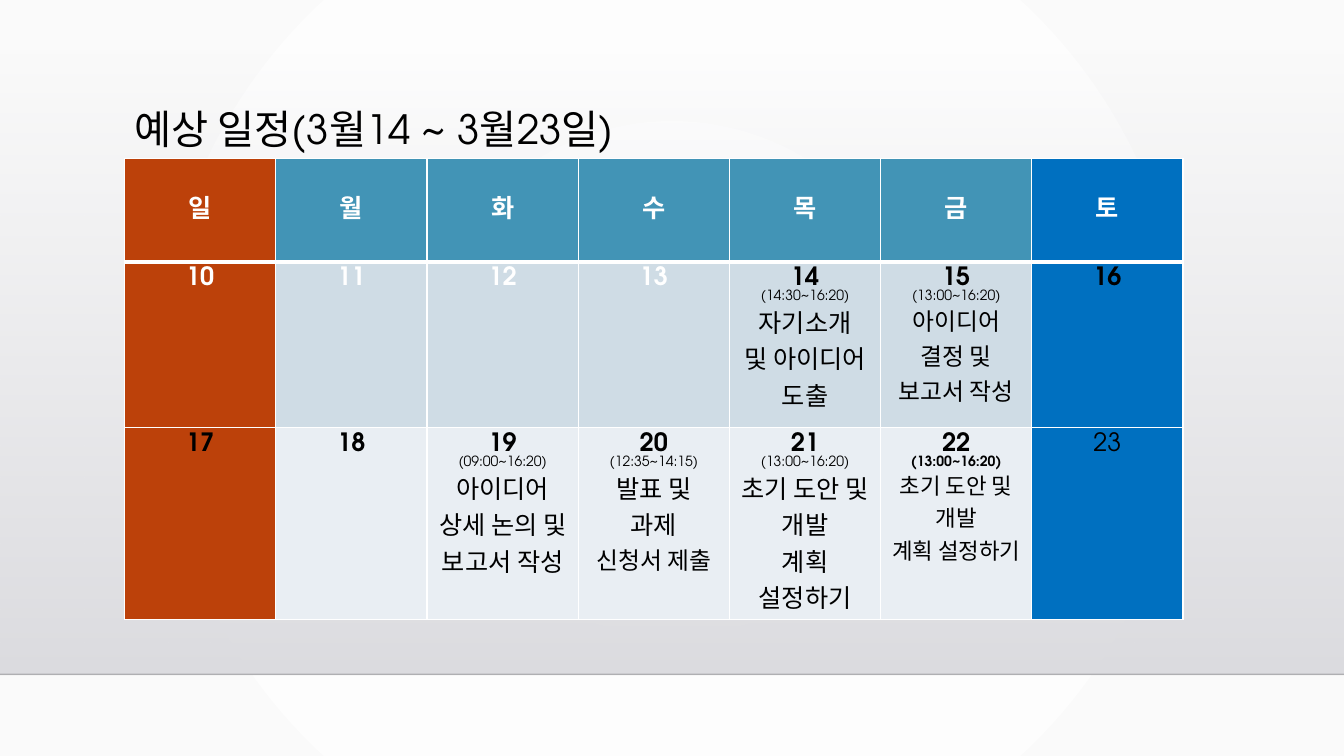
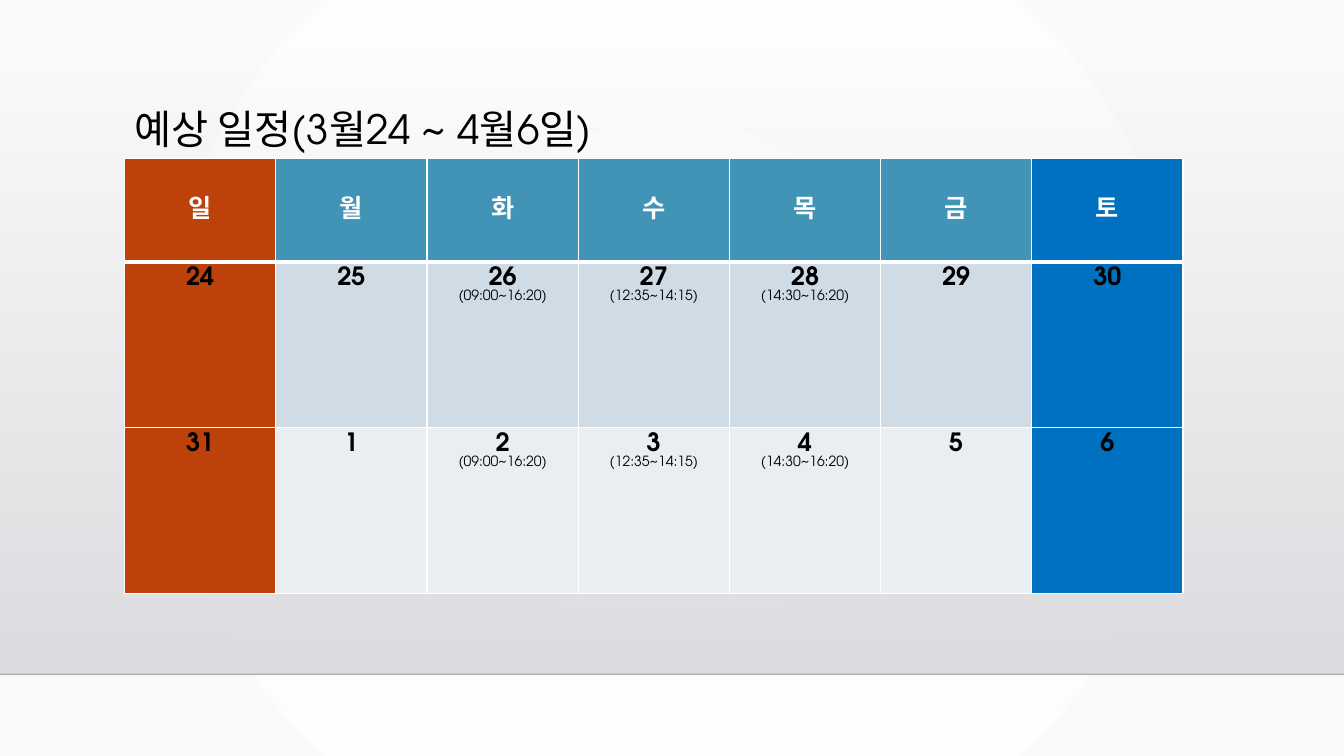
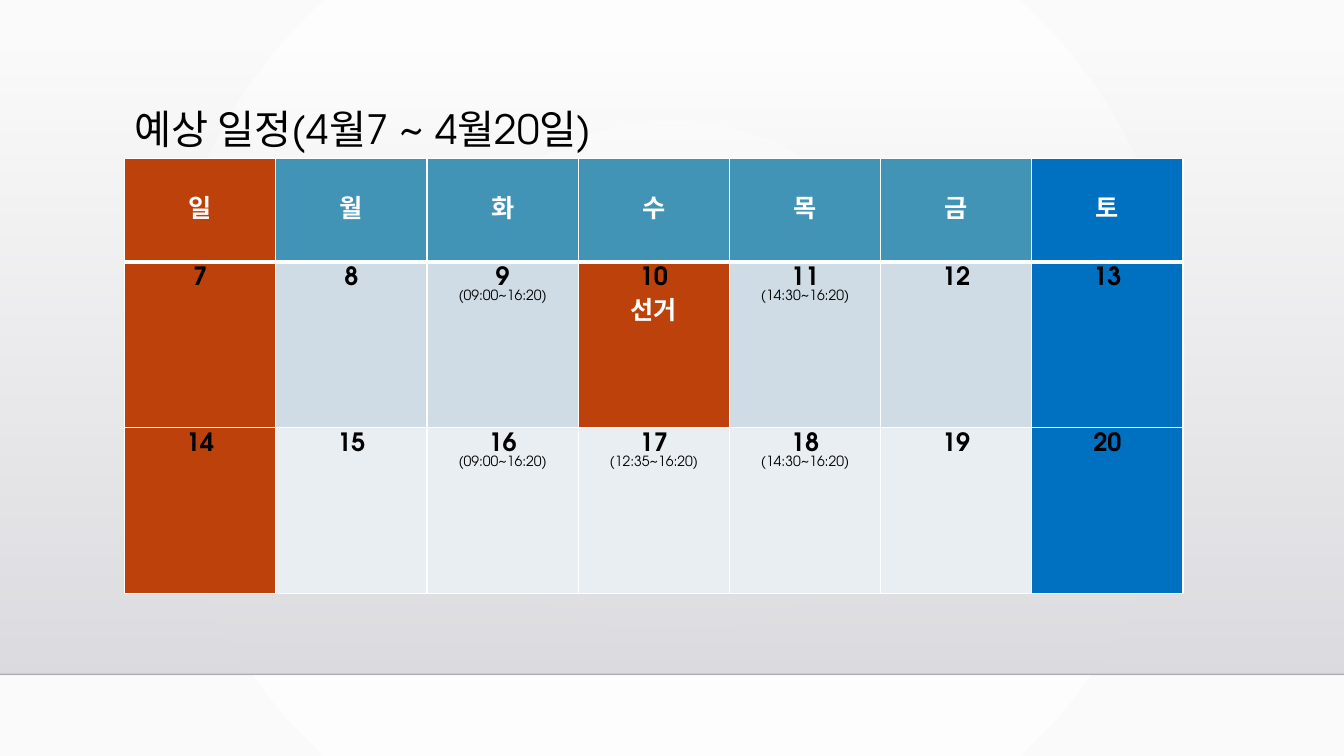
from lxml import etree
from pptx import Presentation
from pptx.dml.color import RGBColor
from pptx.enum import shapes, text
from pptx.oxml import ns
from pptx.util import Pt

FONT = "TeX Gyre Adventor"
BLACK, WHITE = "000000", "FFFFFF"
RED, BLUE, TEAL = "BC410A", "0070C0", "4294B6"
WEEK_FILLS = ["CFDCE5", "E9EEF3"]
WEEKDAYS = "일월화수목금토"
SLIDE_WIDTH, SLIDE_HEIGHT = 960, 540
BAND_TOP, BAND_BOTTOM = 36.7, 481.7
LEFT, TITLE_TOP, TABLE_TOP = 89, 74.9, 113
COLUMN_WIDTH, HEADER_HEIGHT, WEEK_HEIGHT, TALL_WEEK_HEIGHT = 108, 74, 118.5, 137

MORNING = ("(09:00~16:20)", 10, False)
NOON = ("(12:35~14:15)", 10, False)
LONG_NOON = ("(12:35~16:20)", 10, False)
ONE = ("(13:00~16:20)", 10, False)
HALF_PAST_TWO = ("(14:30~16:20)", 10, False)

# Each event line is (text, size, bold), listed under its date.
CALENDARS = [
    {
        "title": "예상 일정(3월14 ~ 3월23일)",
        "week_heights": [WEEK_HEIGHT, TALL_WEEK_HEIGHT],
        "first": 10, "past": range(10, 14), "plain": [23], "holidays": [],
        "events": {
            14: [HALF_PAST_TWO, ("자기소개", 18, False), ("및 아이디어 도출", 18, False)],
            15: [ONE, ("아이디어", 17, False), ("결정 및", 17, False),
                 ("보고서 작성", 17, False)],
            19: [MORNING, ("아이디어 상세 논의 및 보고서 작성", 18, False)],
            20: [NOON, ("발표 및", 18, False), ("과제", 18, False),
                 ("신청서 제출", 17, False)],
            21: [ONE, ("초기 도안 및 개발", 18, False), ("계획 설정하기", 18, False)],
            22: [("(13:00~16:20)", 10, True), ("초기 도안 및 개발", 16, False),
                 ("계획 설정하기", 16, False)],
        },
    },
    {
        "title": "예상 일정(3월24 ~ 4월6일)",
        "week_heights": [WEEK_HEIGHT, WEEK_HEIGHT],
        "first": 24, "past": [], "plain": [], "holidays": [],
        "events": {26: [MORNING], 27: [NOON], 28: [HALF_PAST_TWO],
                   2: [MORNING], 3: [NOON], 4: [HALF_PAST_TWO]},
    },
    {
        "title": "예상 일정(4월7 ~ 4월20일)",
        "week_heights": [WEEK_HEIGHT, WEEK_HEIGHT],
        "first": 7, "past": [], "plain": [], "holidays": [10],
        "events": {9: [MORNING], 10: [("선거", 18, True)], 11: [HALF_PAST_TWO],
                   16: [MORNING], 17: [LONG_NOON], 18: [HALF_PAST_TWO]},
    },
]


def color(hex_string):
    return RGBColor.from_string(hex_string)


def fill_cell(cell, lines, fill, top, bottom):
    """Write (text, size, bold, colour) lines, white borders and a fill."""
    properties = cell._tc.get_or_add_tcPr()
    for side, width in (("L", 1), ("R", 1), ("T", top), ("B", bottom)):
        border = etree.SubElement(properties, ns.qn("a:ln" + side), w=str(Pt(width)))
        solid = etree.SubElement(border, ns.qn("a:solidFill"))
        etree.SubElement(solid, ns.qn("a:srgbClr"), val=WHITE)
    cell.fill.solid()
    cell.fill.fore_color.rgb = color(fill)
    cell.text_frame.text = "\n".join(line[0] for line in lines)
    for paragraph, line in zip(cell.text_frame.paragraphs, lines):
        paragraph.alignment = text.PP_ALIGN.CENTER
        font = paragraph.runs[0].font
        font.name, font.size, font.bold = FONT, Pt(line[1]), line[2]
        font.color.rgb = color(line[3])


presentation = Presentation()
presentation.slide_width = Pt(SLIDE_WIDTH)
presentation.slide_height = Pt(SLIDE_HEIGHT)

# Shared background: a faint radial gradient
master = presentation.slide_master
background = master.background.fill
background.gradient()
for stop, shade in zip(background.gradient_stops, (WHITE, "FAFAFA")):
    stop.color.rgb = color(shade)
linear = next(master.element.iter(ns.qn("a:lin")))
radial = etree.Element(ns.qn("a:path"), path="circle")
etree.SubElement(radial, ns.qn("a:fillToRect"), l="50000", t="50000", r="50000", b="50000")
linear.getparent().replace(linear, radial)

for calendar in CALENDARS:
    slide = presentation.slides.add_slide(presentation.slide_layouts[6])

    # Grey band that fades out upwards, closed by a thin line
    band = slide.shapes.add_shape(shapes.MSO_SHAPE.RECTANGLE, 0, Pt(BAND_TOP),
                                  Pt(SLIDE_WIDTH), Pt(BAND_BOTTOM - BAND_TOP))
    band.shadow.inherit = False
    band.line.fill.background()
    band.fill.gradient()
    band.fill.gradient_angle = 270
    for stop, shade in zip(band.fill.gradient_stops, ("DCDCE0", "DEDEE2")):
        stop.color.rgb = color(shade)
    clear_stop = next(band.element.iter(ns.qn("a:srgbClr")))
    etree.SubElement(clear_stop, ns.qn("a:alpha"), val="0")

    edge = slide.shapes.add_connector(shapes.MSO_CONNECTOR.STRAIGHT, 0, Pt(BAND_BOTTOM),
                                      Pt(SLIDE_WIDTH), Pt(BAND_BOTTOM))
    edge.line.width = Pt(1)
    edge.line.color.rgb = color("000001")
    edge_color = next(edge.element.iter(ns.qn("a:srgbClr")))
    etree.SubElement(edge_color, ns.qn("a:alpha"), val="20000")
    etree.SubElement(edge.element.spPr, ns.qn("a:effectLst"))

    title = slide.shapes.add_textbox(Pt(LEFT), Pt(TITLE_TOP), Pt(7 * COLUMN_WIDTH),
                                     Pt(TABLE_TOP - TITLE_TOP))
    title.text_frame.word_wrap = True
    title.text_frame.vertical_anchor = text.MSO_ANCHOR.MIDDLE
    title.text_frame.text = calendar["title"]
    paragraph = title.text_frame.paragraphs[0]
    paragraph.line_spacing = 0.9
    font = paragraph.runs[0].font
    font.name, font.size = FONT, Pt(28.8)
    font.color.rgb = color(BLACK)

    heights = [HEADER_HEIGHT, *calendar["week_heights"]]
    table = slide.shapes.add_table(3, 7, Pt(LEFT), Pt(TABLE_TOP), Pt(7 * COLUMN_WIDTH),
                                   Pt(sum(heights))).table
    table.first_row = table.horz_banding = False
    for row, height in zip(table.rows, heights):
        row.height = Pt(height)

    for day, weekday in enumerate(WEEKDAYS):
        table.columns[day].width = Pt(COLUMN_WIDTH)
        weekend_fill = {0: RED, 6: BLUE}.get(day)
        header = table.cell(0, day)
        fill_cell(header, [(weekday, 18, True, WHITE)], weekend_fill or TEAL, 1, 3)
        header.vertical_anchor = text.MSO_ANCHOR.MIDDLE
        header.margin_bottom = Pt(9)

        for week, week_fill in enumerate(WEEK_FILLS):
            date = (calendar["first"] + 7 * week + day - 1) % 31 + 1
            holiday = date in calendar["holidays"]
            date_color = WHITE if date in calendar["past"] else BLACK
            lines = [(str(date), 18, date not in calendar["plain"], date_color)]
            for event in calendar["events"].get(date, []):
                lines.append((*event, WHITE if holiday else BLACK))
            fill = RED if holiday else weekend_fill or week_fill
            fill_cell(table.cell(week + 1, day), lines, fill, 3 if week == 0 else 1, 1)

presentation.save("out.pptx")
